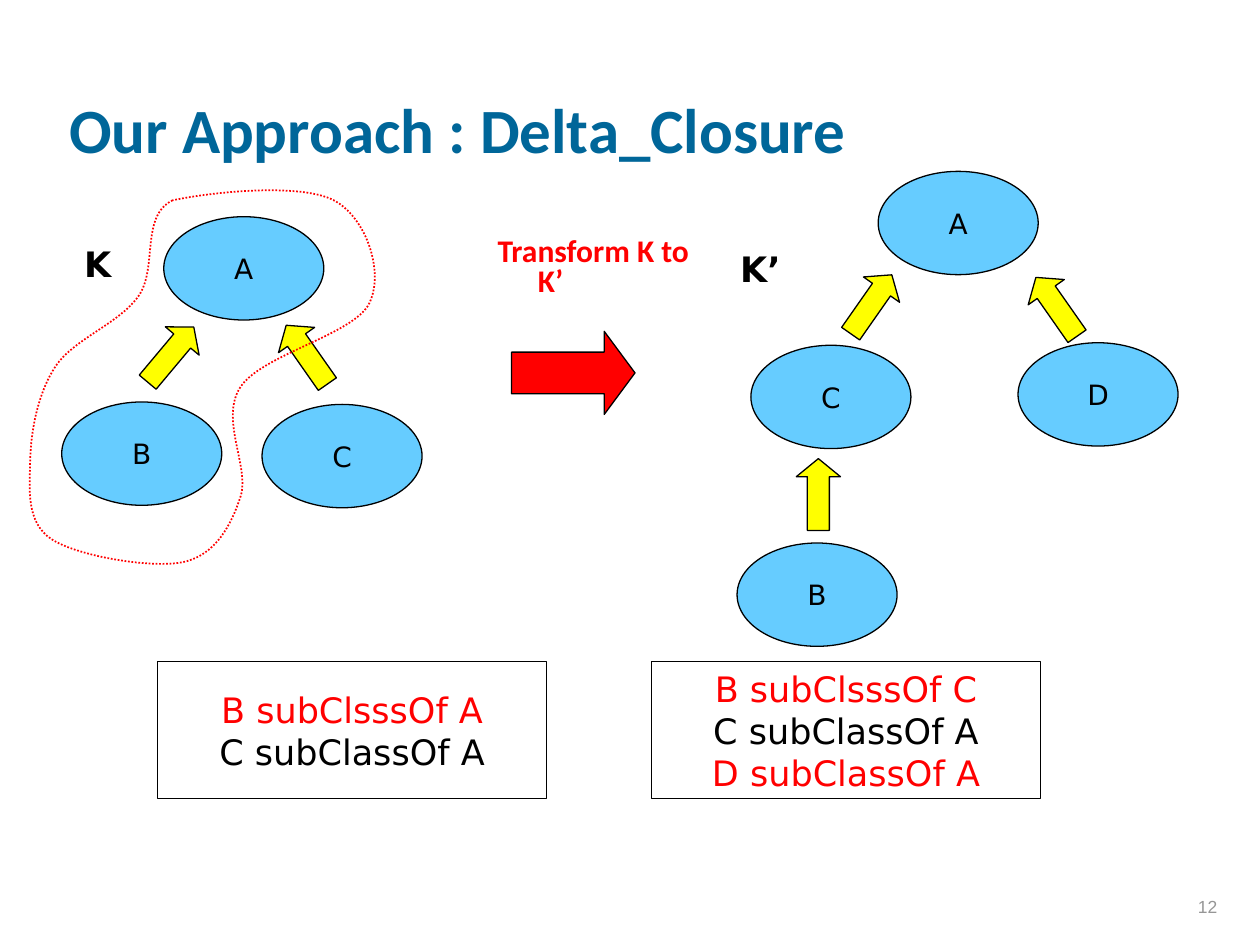
from lxml.etree import SubElement
from pptx import Presentation
from pptx.dml.color import RGBColor
from pptx.enum.dml import MSO_LINE
from pptx.enum.shapes import MSO_SHAPE as SHAPE
from pptx.enum.text import MSO_ANCHOR as ANCHOR, PP_ALIGN as ALIGN
from pptx.oxml.ns import qn
from pptx.util import Inches, Pt

COLORS = {
    "title": "006699", "node": "66CCFF", "arrow": "FFFF00",
    "red": "FF0000", "black": "000000", "page": "969696",
}
NODE_W, NODE_H = 1.27, 0.82
ARROW_W, ARROW_H = 0.35, 0.57


def rgb(name):
    return RGBColor.from_string(COLORS[name])


def write(sp, text, size=20, font="DejaVu Sans", colors=("black",), bold=False,
          align=ALIGN.CENTER, anchor=ANCHOR.MIDDLE, hang=0, spacing=None):
    """Fill a shape with one paragraph per line; colors holds one per line."""
    tf = sp.text_frame
    tf.word_wrap = True
    tf.vertical_anchor = anchor
    for i, (line, color) in enumerate(zip(text.split("\n"), colors)):
        p = tf.paragraphs[0] if i == 0 else tf.add_paragraph()
        p.alignment = align
        if spacing:
            p.line_spacing = spacing
        if hang:
            p_pr = p._p.get_or_add_pPr()
            p_pr.set("marL", str(Inches(hang)))
            p_pr.set("indent", str(-Inches(hang)))
        r = p.add_run()
        r.text = line
        r.font.size = Pt(size)
        r.font.name = font
        r.font.bold = bold
        r.font.color.rgb = rgb(color)


def add_text(s, box, text, **fmt):
    write(s.shapes.add_textbox(*map(Inches, box)), text, **fmt)


def style(sp, fill=None, line="black", width=0.75):
    sp.shadow.inherit = False
    if fill:
        sp.fill.solid()
        sp.fill.fore_color.rgb = rgb(fill)
    else:
        sp.fill.background()
    sp.line.color.rgb = rgb(line)
    sp.line.width = Pt(width)


def add_shape(s, kind, box, fill=None):
    sp = s.shapes.add_shape(kind, *map(Inches, box))
    style(sp, fill)
    return sp


def add_arrow(s, kind, box, fill, head, rotation=0):
    sp = add_shape(s, kind, box, fill)
    sp.adjustments[1] = head
    sp.rotation = rotation


def add_tree(s, left, top, label, label_top, nodes, arrows):
    """Draw a class tree; nodes are (name, x, y), arrows (x, y, rotation)."""
    add_text(s, (left, top + label_top, 0.79, 0.84), label, bold=True)
    for name, x, y in nodes:
        node = add_shape(s, SHAPE.OVAL, (left + x, top + y, NODE_W, NODE_H), "node")
        write(node, name, size=16)
    for x, y, rotation in arrows:
        add_arrow(s, SHAPE.UP_ARROW, (left + x, top + y, ARROW_W, ARROW_H),
                  "arrow", 0.41, rotation)


def add_transform(s, left, top):
    add_text(s, (left, top, 1.85, 0.53), "Transform K to K’", size=18,
             font="Calibri", colors=["red"], bold=True, align=ALIGN.LEFT,
             anchor=ANCHOR.TOP, hang=0.32, spacing=0.8)
    add_arrow(s, SHAPE.RIGHT_ARROW, (left + 0.21, top + 0.79, 0.98, 0.66), "red", 0.37)


def add_statements(s, left, top, text, colors):
    write(add_shape(s, SHAPE.RECTANGLE, (left, top, 3.09, 1.09)), text, colors=colors)


def smooth_curves(anchors):
    """Bezier (control, control, end) triples of a closed curve through the anchors."""
    n = len(anchors)
    for i in range(n):
        before, start, end, after = (anchors[(i + k) % n] for k in (-1, 0, 1, 2))
        yield (tuple(b + (c - a) / 6 for a, b, c in zip(before, start, end)),
               tuple(c - (d - b) / 6 for b, c, d in zip(start, end, after)),
               end)


def add_dotted_outline(s, box, anchors, last_control):
    """Draw a smooth loop; last_control shapes its arrival at the first anchor."""
    left, top, width, height = map(Inches, box)
    points = [(Inches(x), Inches(y)) for x, y in anchors]
    builder = s.shapes.build_freeform(*points[0])
    builder.add_line_segments(points[1:], close=True)
    sp = builder.convert_to_shape()
    sp.left, sp.top, sp.width, sp.height = left, top, width, height

    outline = next(sp._element.iter(qn("a:path")))
    for child in list(outline):
        outline.remove(child)
    outline.set("w", str(width))
    outline.set("h", str(height))

    def add_step(tag, step_points):
        step = SubElement(outline, qn(tag))
        for x, y in step_points:
            SubElement(step, qn("a:pt"), x=str(Inches(x)), y=str(Inches(y)))

    curves = list(smooth_curves(anchors))
    curves[-1] = (curves[-1][0], last_control, anchors[0])
    add_step("a:moveTo", anchors[:1])
    for curve in curves:
        add_step("a:cubicBezTo", curve)
    add_step("a:close", [])
    style(sp, line="red", width=1)
    sp.line.dash_style = MSO_LINE.ROUND_DOT


def main():
    prs = Presentation()
    prs.slide_width, prs.slide_height = Inches(10), Inches(7.5)
    s = prs.slides.add_slide(prs.slide_layouts[6])

    add_text(s, (0.45, 0.12, 8.5, 1.25), "Our Approach : Delta_Closure", size=36,
             font="Calibri", colors=["title"], bold=True, align=ALIGN.LEFT,
             anchor=ANCHOR.BOTTOM)
    add_tree(s, 0.38, 1.67, "K", 0,
             nodes=[("A", 0.92, 0.05), ("B", 0.11, 1.52), ("C", 1.7, 1.54)],
             arrows=[(0.8, 0.86, 40), (1.88, 0.86, 325)])
    add_transform(s, 3.85, 1.84)
    add_tree(s, 5.64, 1.36, "K’", 0.35,
             nodes=[("A", 1.33, 0), ("C", 0.32, 1.38), ("D", 2.44, 1.36),
                    ("B", 0.21, 2.95)],
             arrows=[(1.1, 0.77, 35), (2.57, 0.79, 325), (0.68, 2.28, 0)])
    add_statements(s, 1.25, 5.25, "B subClsssOf A\nC subClassOf A", ["red", "black"])
    add_statements(s, 5.17, 5.25, "B subClsssOf C\nC subClassOf A\nD subClassOf A",
                   ["red", "black", "red"])
    add_dotted_outline(s, (0.21, 1.44, 2.84, 3.07), [
        (1.16, 0.15), (0.89, 0.91), (0.23, 1.47), (0.03, 2.22), (0.2, 2.84),
        (1.25, 3.02), (1.7, 2.5), (1.7, 1.63), (2.72, 0.97), (2.44, 0.15)],
        last_control=(1.49, 0.08))
    add_text(s, (7.68, 6.83, 2.08, 0.5), "12", size=10, font="Arial",
             colors=["page"], align=ALIGN.RIGHT, anchor=ANCHOR.BOTTOM)
    prs.save("out.pptx")


if __name__ == "__main__":
    main()
